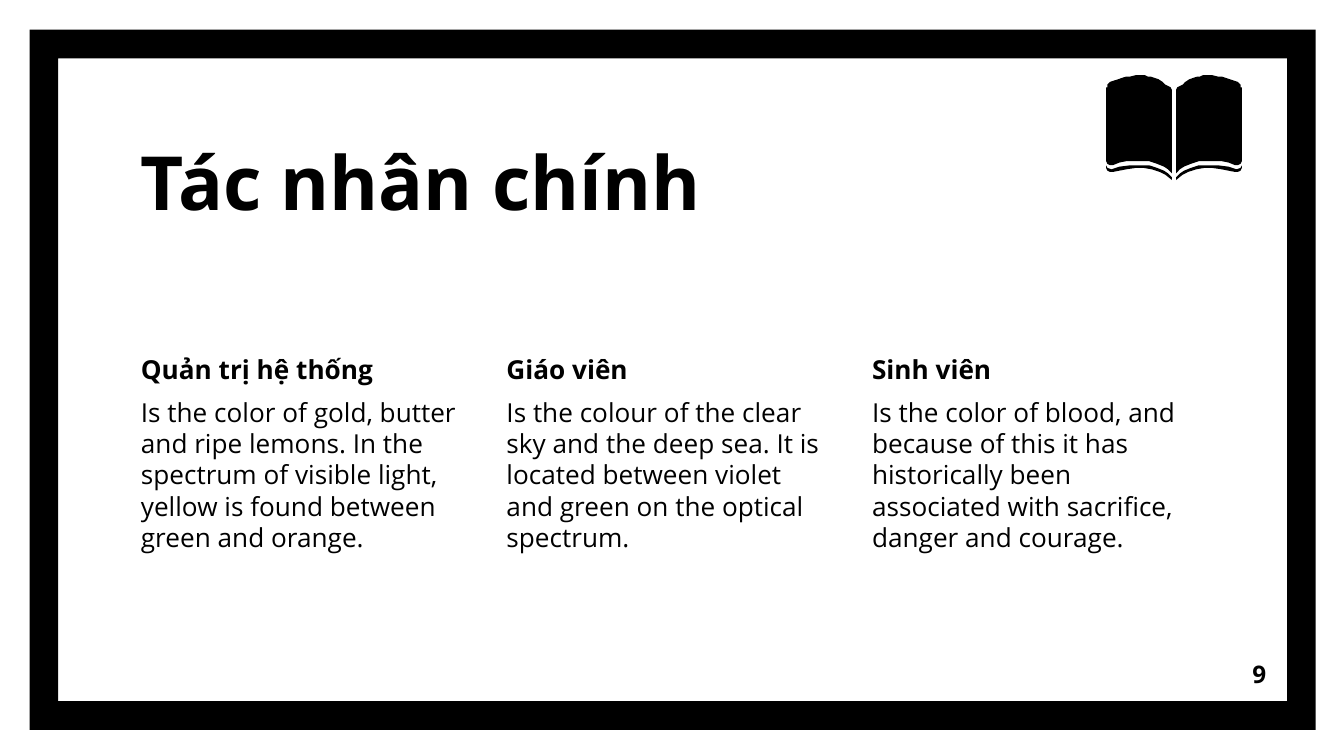
"""Build the slide of main actors: a framed page with three text columns and a book icon."""
from pptx import Presentation
from pptx.dml.color import RGBColor
from pptx.enum.shapes import MSO_SHAPE
from pptx.enum.text import MSO_ANCHOR, PP_ALIGN
from pptx.util import Inches, Pt

FONT = "Open Sans"
BLACK = "000000"
TITLE = "Tác nhân chính"
PAGE_NUMBER = "9"
ACTORS = [
    ("Quản trị hệ thống",
     "Is the color of gold, butter and ripe lemons. In the spectrum of visible light, "
     "yellow is found between green and orange."),
    ("Giáo viên",
     "Is the colour of the clear sky and the deep sea. It is located between violet "
     "and green on the optical spectrum."),
    ("Sinh viên",
     "Is the color of blood, and because of this it has historically been associated "
     "with sacrifice, danger and courage."),
]
SLIDE_WIDTH = 10
SLIDE_HEIGHT = SLIDE_WIDTH * 9 / 16
COLUMN_LEFT, COLUMN_TOP, COLUMN_WIDTH, COLUMN_HEIGHT = 0.95, 2.53, 2.59, 2.23
COLUMN_STEP = 2.72

BOOK_LEFT, BOOK_RIGHT = 8.23, 9.24
LEFT_PAGE = [
    (8.48, 0.56), (8.45, 0.56), (8.41, 0.57), (8.38, 0.57), (8.35, 0.58), (8.32, 0.59),
    (8.29, 0.6), (8.26, 0.61), (8.25, 0.62), (8.24, 0.63), (8.24, 0.65), (8.23, 0.65),
    (8.23, 1.2), (8.24, 1.22), (8.26, 1.23), (8.28, 1.23), (8.33, 1.21), (8.38, 1.2),
    (8.48, 1.2), (8.55, 1.2), (8.61, 1.22), (8.66, 1.24), (8.69, 1.26), (8.72, 1.29),
    (8.72, 0.67), (8.71, 0.65), (8.69, 0.64), (8.67, 0.63), (8.65, 0.61), (8.62, 0.59),
    (8.59, 0.58), (8.56, 0.57), (8.54, 0.57), (8.52, 0.56),
]
LEFT_COVER = [
    (8.23, 1.23), (8.23, 1.25), (8.24, 1.27), (8.26, 1.28), (8.28, 1.28), (8.33, 1.27),
    (8.38, 1.26), (8.45, 1.25), (8.51, 1.25), (8.57, 1.26), (8.63, 1.28), (8.67, 1.3),
    (8.72, 1.34), (8.72, 1.32), (8.69, 1.29), (8.66, 1.27), (8.61, 1.25), (8.55, 1.23),
    (8.48, 1.23), (8.41, 1.23), (8.33, 1.24), (8.27, 1.26), (8.24, 1.25),
]


def color(value):
    return RGBColor.from_string(value)


def paint(shape):
    shape.shadow.inherit = False
    shape.fill.solid()
    shape.fill.fore_color.rgb = color(BLACK)
    shape.line.fill.background()


def add_text(slide, box, lines, anchor=MSO_ANCHOR.TOP, align=PP_ALIGN.LEFT, space=0):
    frame = slide.shapes.add_textbox(*map(Inches, box)).text_frame
    frame.word_wrap = True
    frame.vertical_anchor = anchor
    frame.margin_left = frame.margin_right = Inches(0.1)
    frame.margin_top = frame.margin_bottom = Inches(0.1)
    for index, (text, size, bold) in enumerate(lines):
        paragraph = frame.add_paragraph() if index else frame.paragraphs[0]
        paragraph.text = text
        paragraph.alignment = align
        paragraph.space_before = Pt(space)
        paragraph.font.name = FONT
        paragraph.font.size = Pt(size)
        paragraph.font.bold = bold
        paragraph.font.color.rgb = color(BLACK)


def add_outline(shapes, points):
    corners = [(Inches(x), Inches(y)) for x, y in points]
    builder = shapes.build_freeform(*corners[0])
    builder.add_line_segments(corners[1:], close=True)
    paint(builder.convert_to_shape())


def add_book(slide):
    book = slide.shapes.add_group_shape()
    for outline in (LEFT_COVER, LEFT_PAGE):
        mirrored = [(BOOK_LEFT + BOOK_RIGHT - x, y) for x, y in outline]
        add_outline(book.shapes, outline)
        add_outline(book.shapes, mirrored)


def main():
    presentation = Presentation()
    presentation.slide_width = Inches(SLIDE_WIDTH)
    presentation.slide_height = Inches(SLIDE_HEIGHT)
    slide = presentation.slides.add_slide(presentation.slide_layouts[6])

    border = slide.shapes.add_shape(
        MSO_SHAPE.FRAME, Inches(0.22), Inches(0.22), Inches(9.57), Inches(5.21))
    border.adjustments[0] = 0.041
    paint(border)

    add_text(slide, (0.95, 0.93, 5.57, 0.85), [(TITLE, 40, True)], MSO_ANCHOR.BOTTOM)
    for index, (name, description) in enumerate(ACTORS):
        box = (COLUMN_LEFT + index * COLUMN_STEP, COLUMN_TOP, COLUMN_WIDTH, COLUMN_HEIGHT)
        add_text(slide, box, [(name, 14, True), (description, 14, False)], space=6)
    add_text(slide, (8.92, 4.8, 0.6, 0.43), [(PAGE_NUMBER, 13, True)],
             MSO_ANCHOR.MIDDLE, PP_ALIGN.RIGHT)
    add_book(slide)
    presentation.save("out.pptx")


if __name__ == "__main__":
    main()
